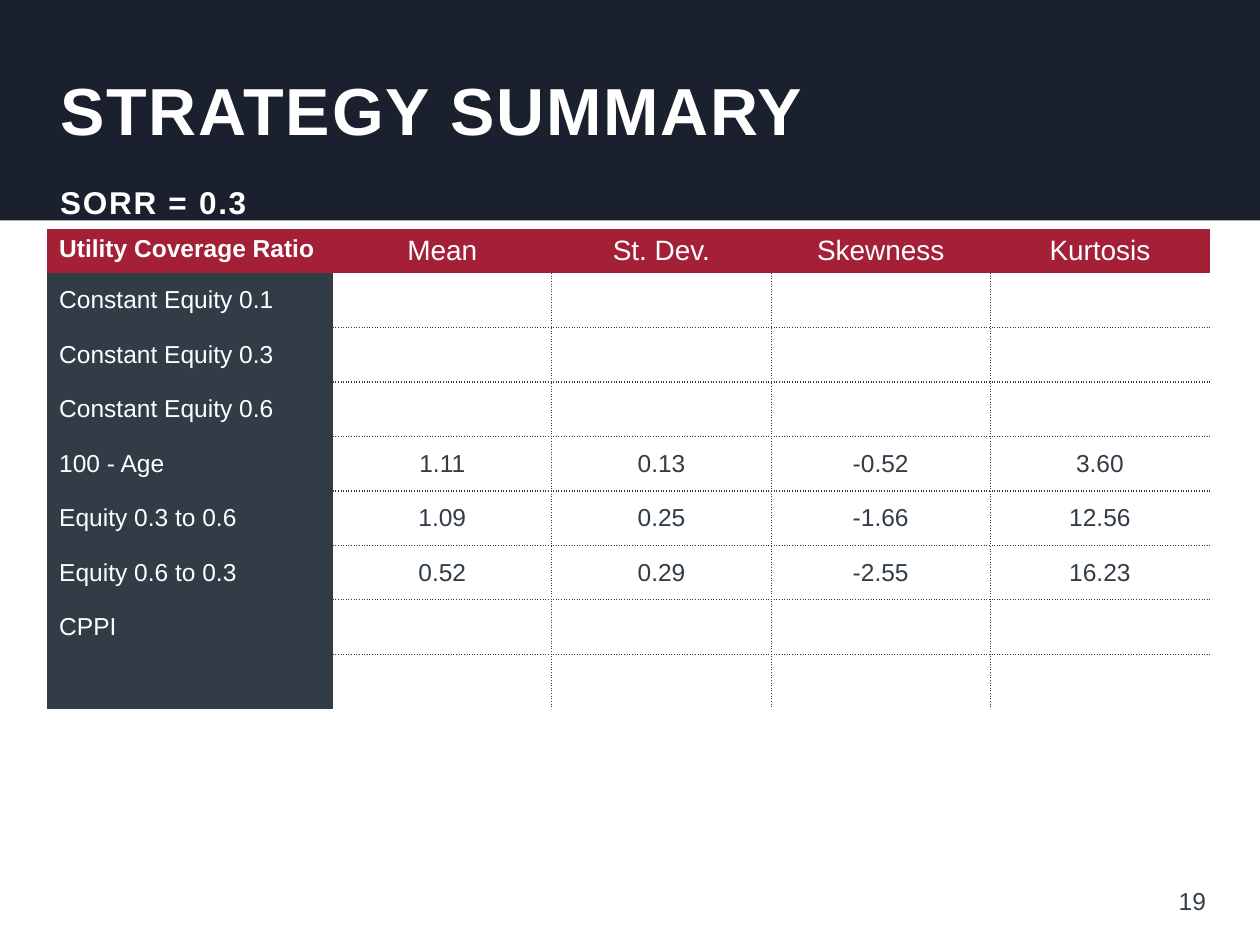
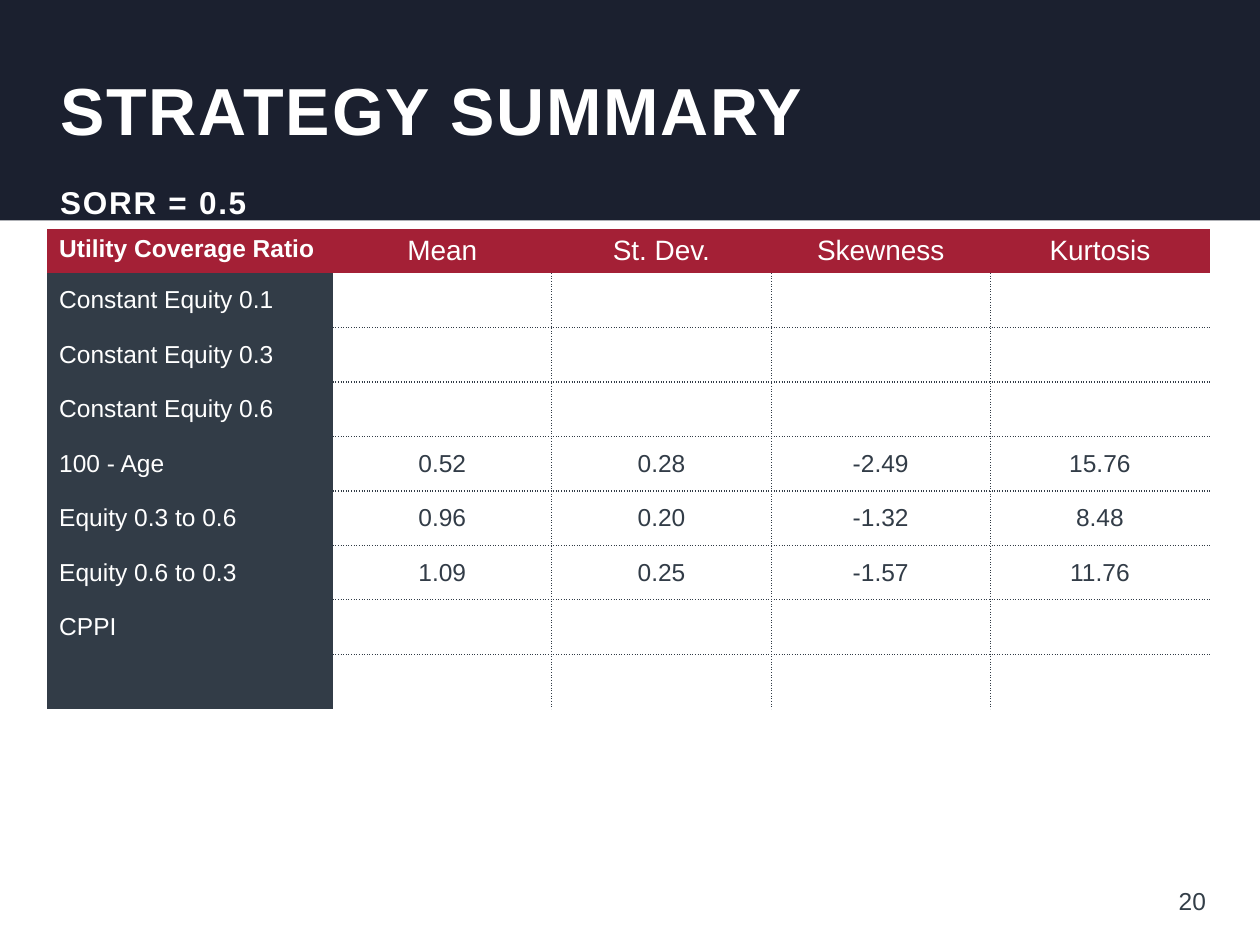
import lxml.etree
import pptx
import pptx.dml.color
import pptx.enum.shapes
import pptx.enum.text
import pptx.oxml.ns
import pptx.util

ALIGN = pptx.enum.text.PP_ALIGN
ANCHOR = pptx.enum.text.MSO_ANCHOR
SLIDE_WIDTH = pptx.util.Inches(10)
SLIDE_HEIGHT = pptx.util.Inches(7.5)
TITLE_ONLY = 5
NO_TABLE_STYLE = "{2D5ABB26-0587-4C30-8999-92F81FD0307C}"

COLORS = {
    "band": "1B202F",
    "header": "A42036",
    "slate": "323C47",
    "number": "333E48",
    "white": "FFFFFF",
}

# Left, top, width and height in percent of the slide.
BOXES = {
    "band": (0, 0, 100, 23.33),
    "title": (3.8, 0, 92.3, 23.07),
    "subtitle": (3.8, 19.47, 92.3, 3.87),
    "table": (3.7, 24.27, 92.3, 50.4),
    "number": (73.4, 92.67, 23.3, 5.33),
}
LABEL_COLUMN_SHARE = 0.246
HEADER_ROW_SHARE = 0.085

# Font attributes, colour, alignment and letter spacing of each kind of text.
FORMATS = {
    "title": ({"size": 38, "bold": True}, "white", ALIGN.LEFT, 1),
    "subtitle": ({"size": 18, "bold": True}, "white", ALIGN.LEFT, 1),
    "number": ({"size": 14, "bold": False}, "number", ALIGN.RIGHT, 0),
    "corner": ({"size": 14, "bold": True}, "white", ALIGN.LEFT, 0),
    "header": ({"size": 16, "bold": False}, "white", ALIGN.CENTER, 0),
    "label": ({"size": 14, "bold": False}, "white", ALIGN.LEFT, 0),
    "value": ({"size": 14, "bold": False}, "slate", ALIGN.CENTER, 0),
}

HEADERS = ["Utility Coverage Ratio", "Mean", "St. Dev.", "Skewness", "Kurtosis"]
STRATEGIES = [
    "Constant Equity 0.1", "Constant Equity 0.3", "Constant Equity 0.6",
    "100 - Age", "Equity 0.3 to 0.6", "Equity 0.6 to 0.3", "CPPI", "",
]
SUMMARIES = [
    (19, "SORR = 0.3", {
        "100 - Age": ["1.11", "0.13", "-0.52", "3.60"],
        "Equity 0.3 to 0.6": ["1.09", "0.25", "-1.66", "12.56"],
        "Equity 0.6 to 0.3": ["0.52", "0.29", "-2.55", "16.23"],
    }),
    (20, "SORR = 0.5", {
        "100 - Age": ["0.52", "0.28", "-2.49", "15.76"],
        "Equity 0.3 to 0.6": ["0.96", "0.20", "-1.32", "8.48"],
        "Equity 0.6 to 0.3": ["1.09", "0.25", "-1.57", "11.76"],
    }),
]


def rgb(name):
    return pptx.dml.color.RGBColor.from_string(COLORS[name])


def place(name):
    """Return a named box as left, top, width and height in EMU."""
    sides = (SLIDE_WIDTH, SLIDE_HEIGHT) * 2
    return [round(side * share / 100) for side, share in zip(sides, BOXES[name])]


def write(text_frame, text, kind):
    font_values, color, alignment, spacing = FORMATS[kind]
    paragraph = text_frame.paragraphs[0]
    paragraph.alignment = alignment
    run = paragraph.add_run()
    run.text = text
    values = {**font_values, "name": "Arial", "size": pptx.util.Pt(font_values["size"])}
    for attribute, value in values.items():
        setattr(run.font, attribute, value)
    run.font.color.rgb = rgb(color)
    if spacing:
        run._r.get_or_add_rPr().set("spc", str(spacing * 100))


def fill_text_box(shape, text, kind):
    shape.left, shape.top, shape.width, shape.height = place(kind)
    frame_values = {
        "word_wrap": True,
        "auto_size": pptx.enum.text.MSO_AUTO_SIZE.NONE,
        "vertical_anchor": ANCHOR.MIDDLE,
    }
    for attribute, value in frame_values.items():
        setattr(shape.text_frame, attribute, value)
    write(shape.text_frame, text, kind)


def add_band_to_layout(slide):
    """Draw the title band and move it to the back of the slide's layout."""
    band = slide.shapes.add_shape(
        pptx.enum.shapes.MSO_SHAPE.RECTANGLE, *place("band"))
    band.shadow.inherit = False
    band.fill.solid()
    band.fill.fore_color.rgb = rgb("band")
    band.line.fill.background()
    slide.slide_layout.shapes.element.insert(2, band.element)


def add_borders(cell, sides):
    """Add dotted lines on the sides given, in the order L, R, T, B."""
    properties = cell._tc.get_or_add_tcPr()
    qn = pptx.oxml.ns.qn
    for index, side in enumerate(sides):
        line = lxml.etree.Element(qn(f"a:ln{side}"), w=str(pptx.util.Pt(0.75)))
        fill = lxml.etree.SubElement(line, qn("a:solidFill"))
        lxml.etree.SubElement(fill, qn("a:srgbClr"), val=COLORS["slate"])
        lxml.etree.SubElement(line, qn("a:prstDash"), val="sysDot")
        properties.insert(index, line)


def format_cell(cell, text, row, column, last_row, last_column):
    if row == 0:
        kind, fill = ("header" if column else "corner"), "header"
    else:
        kind, fill = ("value", None) if column else ("label", "slate")
        cell.vertical_anchor = ANCHOR.MIDDLE
    if fill:
        cell.fill.solid()
        cell.fill.fore_color.rgb = rgb(fill)
    else:
        cell.fill.background()
        inner_sides = {"L": column > 1, "R": column < last_column,
                       "T": row > 1, "B": row < last_row}
        add_borders(cell, [side for side, inner in inner_sides.items() if inner])
    if text:
        write(cell.text_frame, text, kind)


def add_summary_table(slide, values):
    blank = [""] * (len(HEADERS) - 1)
    rows = [HEADERS] + [[name] + values.get(name, blank) for name in STRATEGIES]
    last_row, last_column = len(rows) - 1, len(HEADERS) - 1
    left, top, width, height = place("table")
    frame = slide.shapes.add_table(
        len(rows), len(HEADERS), left, top, width, height)
    table = frame.table
    table.first_row = table.horz_banding = False
    for style in frame.element.iter(pptx.oxml.ns.qn("a:tableStyleId")):
        style.text = NO_TABLE_STYLE

    for index, column in enumerate(table.columns):
        share = (1 - LABEL_COLUMN_SHARE) / last_column if index else LABEL_COLUMN_SHARE
        column.width = round(width * share)
    for index, row in enumerate(table.rows):
        share = (1 - HEADER_ROW_SHARE) / last_row if index else HEADER_ROW_SHARE
        row.height = round(height * share)

    for row, texts in enumerate(rows):
        for column, text in enumerate(texts):
            format_cell(table.cell(row, column), text, row, column,
                        last_row, last_column)


def add_summary_slide(presentation, number, subtitle, values):
    slide = presentation.slides.add_slide(presentation.slide_layouts[TITLE_ONLY])
    fill_text_box(slide.shapes.title, "STRATEGY SUMMARY", "title")
    add_summary_table(slide, values)
    for kind, text in (("number", str(number)), ("subtitle", subtitle)):
        fill_text_box(slide.shapes.add_textbox(*place(kind)), text, kind)
    return slide


def main():
    presentation = pptx.Presentation()
    presentation.slide_width = SLIDE_WIDTH
    presentation.slide_height = SLIDE_HEIGHT
    slides = [add_summary_slide(presentation, *summary) for summary in SUMMARIES]
    add_band_to_layout(slides[0])
    presentation.save("out.pptx")


if __name__ == "__main__":
    main()
